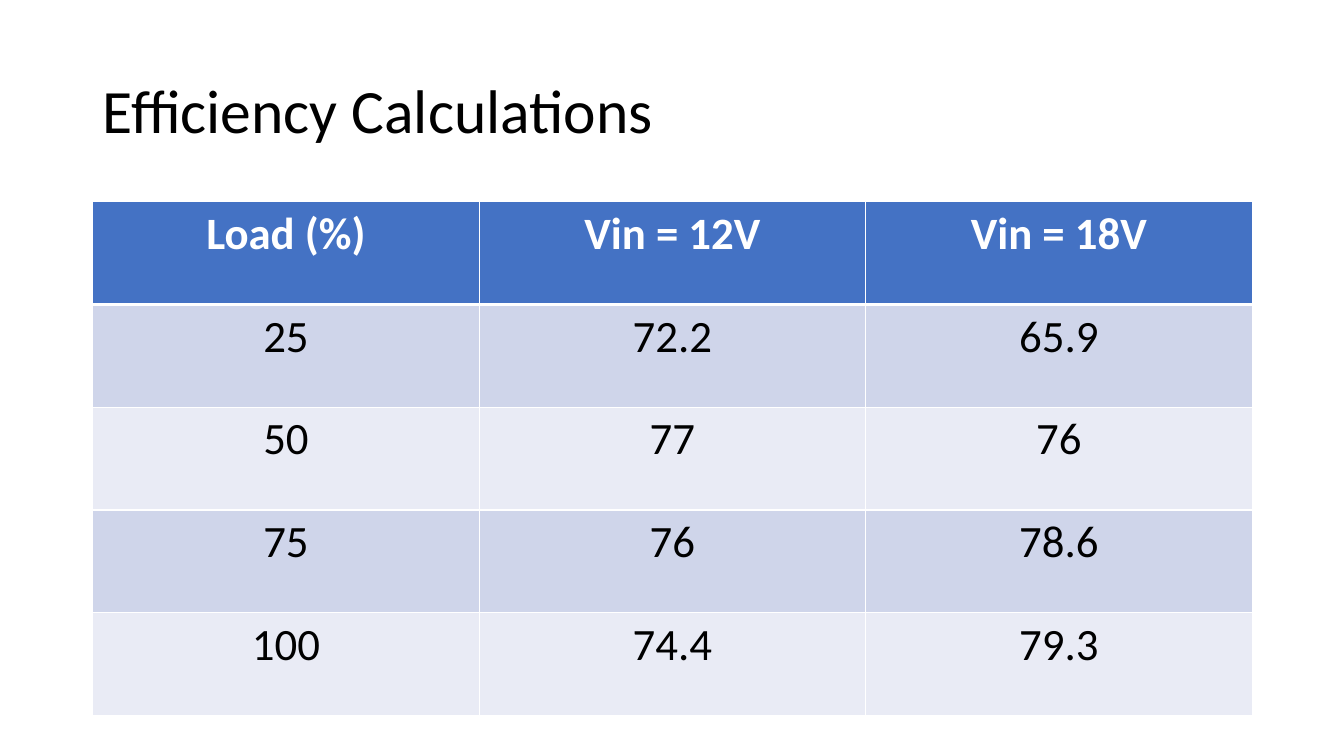
from dataclasses import dataclass

from lxml import etree
from pptx import Presentation
from pptx.dml.color import RGBColor
from pptx.enum.text import MSO_ANCHOR, PP_ALIGN
from pptx.oxml.ns import qn
from pptx.slide import Slide
from pptx.table import _Cell
from pptx.text.text import _Paragraph
from pptx.util import Inches, Pt

CENTER, LEFT = PP_ALIGN.CENTER, PP_ALIGN.LEFT
MIDDLE = MSO_ANCHOR.MIDDLE

BLACK = RGBColor(0x00, 0x00, 0x00)
WHITE = RGBColor(0xFF, 0xFF, 0xFF)
HEADER_BLUE = RGBColor(0x44, 0x72, 0xC4)
BAND_DARK = RGBColor(0xCF, 0xD5, 0xEA)
BAND_LIGHT = RGBColor(0xE9, 0xEB, 0xF5)

FONT = "Calibri"
MARGIN = Inches(0.92)
CONTENT_WIDTH = Inches(11.5)
ROW_HEIGHT = Inches(1.02)
THIN, THICK = Pt(1), Pt(3)


@dataclass(frozen=True)
class RowStyle:
    fill: RGBColor
    color: RGBColor
    bold: bool
    top: int
    bottom: int


HEADER = RowStyle(HEADER_BLUE, WHITE, True, THIN, THICK)
FIRST_BAND = RowStyle(BAND_DARK, BLACK, False, THICK, THIN)
DARK = RowStyle(BAND_DARK, BLACK, False, THIN, THIN)
LIGHT = RowStyle(BAND_LIGHT, BLACK, False, THIN, THIN)

EFFICIENCY_ROWS = [
    (HEADER, ("Load (%)", "Vin = 12V", "Vin = 18V")),
    (FIRST_BAND, ("25", "72.2", "65.9")),
    (LIGHT, ("50", "77", "76")),
    (DARK, ("75", "76", "78.6")),
    (LIGHT, ("100", "74.4", "79.3")),
]


def add_span(para: _Paragraph, text: str, size: int, color: RGBColor, bold: bool = False) -> None:
    span = para.add_run()
    span.text = text
    span.font.name = FONT
    span.font.size = Pt(size)
    span.font.bold = bold
    span.font.color.rgb = color


def set_border(cell: _Cell, side: str, width: int) -> None:
    properties = cell._tc.get_or_add_tcPr()
    line = etree.SubElement(properties, qn(f"a:ln{side}"), w=str(int(width)))
    fill = etree.SubElement(line, qn("a:solidFill"))
    etree.SubElement(fill, qn("a:srgbClr"), val=str(WHITE))


def fill_cell(cell: _Cell, text: str, style: RowStyle) -> None:
    for side, width in (("L", THIN), ("R", THIN), ("T", style.top), ("B", style.bottom)):
        set_border(cell, side, width)
    cell.fill.solid()
    cell.fill.fore_color.rgb = style.fill
    para = cell.text_frame.paragraphs[0]
    para.alignment = CENTER
    add_span(para, text, 32, style.color, style.bold)


def add_title(page: Slide, text: str) -> None:
    title = page.shapes.title
    title.left, title.top = MARGIN, Inches(0.4)
    title.width, title.height = CONTENT_WIDTH, Inches(1.45)
    title.text_frame.vertical_anchor = MIDDLE
    para = title.text_frame.paragraphs[0]
    para.alignment = LEFT
    para.line_spacing = 0.9
    add_span(para, text, 44, BLACK)


def add_efficiency_table(page: Slide) -> None:
    row_count, column_count = len(EFFICIENCY_ROWS), len(EFFICIENCY_ROWS[0][1])
    table = page.shapes.add_table(
        row_count, column_count, MARGIN, Inches(2), CONTENT_WIDTH, ROW_HEIGHT * row_count
    ).table
    for row, (style, texts) in zip(table.rows, EFFICIENCY_ROWS):
        for cell, text in zip(row.cells, texts):
            fill_cell(cell, text, style)


deck = Presentation()
deck.slide_width, deck.slide_height = Inches(13.33), Inches(7.5)
page = deck.slides.add_slide(deck.slide_layouts.get_by_name("Title Only"))
add_title(page, "Efficiency Calculations")
add_efficiency_table(page)
deck.save("out.pptx")
